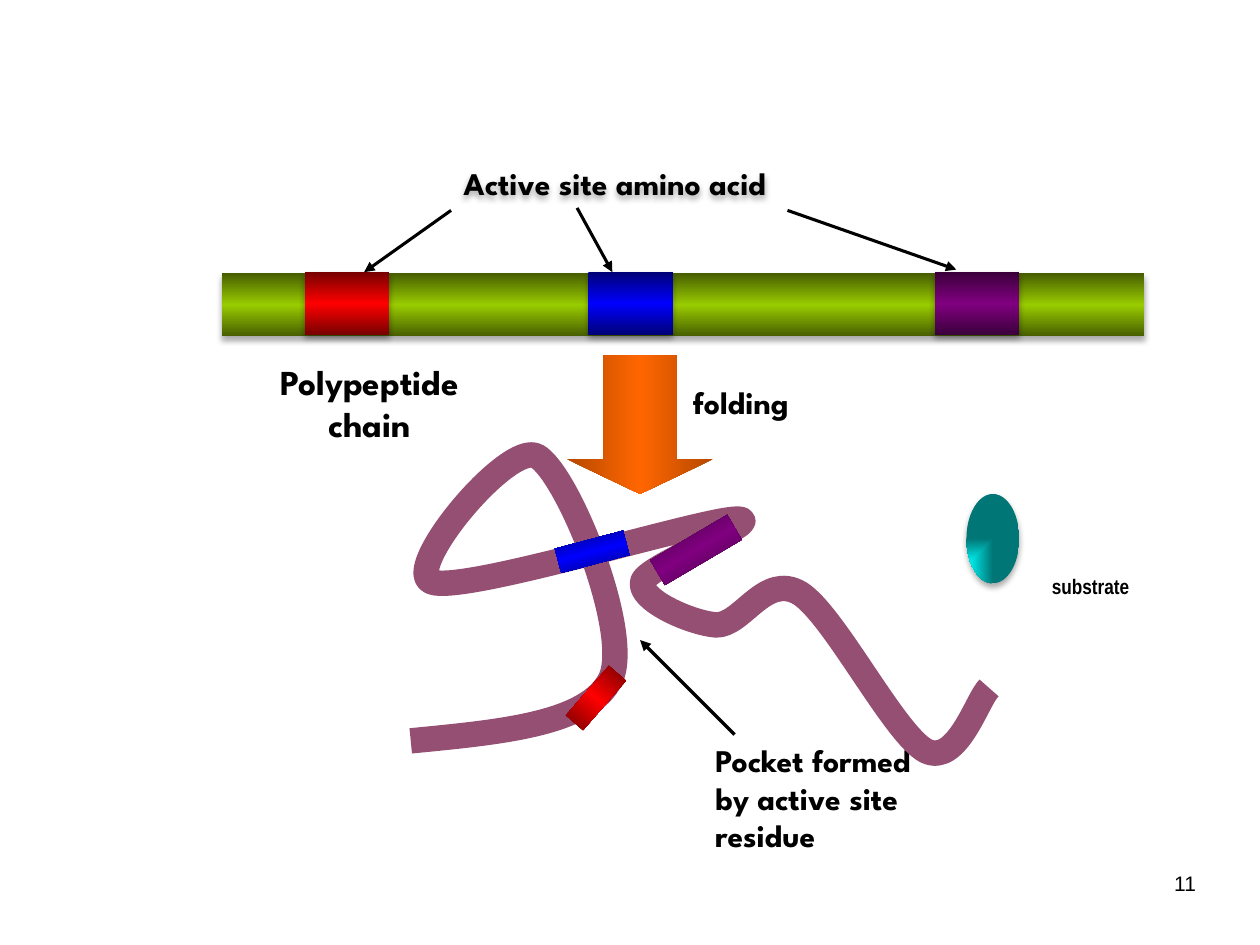
from dataclasses import dataclass
from typing import Optional

from pptx import Presentation
from pptx.dml.color import RGBColor
from pptx.enum.shapes import MSO_CONNECTOR as Connector, MSO_SHAPE as Preset
from pptx.enum.text import MSO_ANCHOR as Anchor, PP_ALIGN as Align
from pptx.oxml import parse_xml
from pptx.oxml.ns import nsdecls, qn
from pptx.oxml.xmlchemy import OxmlElement
from pptx.util import Inches, Pt

BLACK = RGBColor(0x00, 0x00, 0x00)
WHITE = RGBColor(0xFF, 0xFF, 0xFF)
MAUVE = RGBColor(0x95, 0x4F, 0x72)
CYAN = RGBColor(0x00, 0xFF, 0xFF)
TEAL = RGBColor(0x00, 0x76, 0x76)
GREEN = (RGBColor(0x47, 0x5E, 0x00), RGBColor(0x99, 0xCC, 0x00))
PURPLE = (RGBColor(0x3B, 0x00, 0x3B), RGBColor(0x80, 0x00, 0x80))
BLUE = (RGBColor(0x00, 0x00, 0x76), RGBColor(0x00, 0x00, 0xFF))
RED = (RGBColor(0x76, 0x00, 0x00), RGBColor(0xFF, 0x00, 0x00))
ORANGE = (RGBColor(0xB6, 0x49, 0x00), RGBColor(0xFF, 0x66, 0x00))

DISPLAY_FONT = "League Spartan"
BAND = '<a:lin ang="{}" scaled="0"/>'
CORNER_GLOW = '<a:path path="rect"><a:fillToRect t="100000" r="100000"/></a:path>'


@dataclass
class Block:
    box: tuple
    colours: tuple
    angle: int = 90
    rotation: float = 0
    shadow: bool = False
    preset: Preset = Preset.RECTANGLE


@dataclass
class Label:
    text: str
    box: tuple
    size: int = 18
    font: str = DISPLAY_FONT
    bold: bool = True
    align: Align = Align.LEFT
    anchor: Anchor = Anchor.TOP
    fill: Optional[RGBColor] = None
    shadow: bool = False


@dataclass
class Arrow:
    start: tuple
    end: tuple
    width: float = 1.75


CHAIN = Block((1.76, 2.17, 7.32, 0.5), GREEN, shadow=True)
CHAIN_RESIDUES = [
    Block((left, 2.16, 0.67, 0.5), colours, shadow=True)
    for left, colours in ((7.42, PURPLE), (4.67, BLUE), (2.42, RED))
]
FOLDING_ARROW = Block((4.5, 2.82, 1.16, 1.1), ORANGE, angle=0, preset=Preset.DOWN_ARROW)
FOLDED_RESIDUES = [
    Block((4.47, 5.45, 0.52, 0.18), RED, angle=0, rotation=130.9),
    Block((4.42, 4.28, 0.56, 0.2), BLUE, rotation=345.2),
    Block((5.17, 4.25, 0.71, 0.23), PURPLE, rotation=329.5),
]
POCKET_LABEL = Label("Pocket formed by active site residue", (5.58, 5.83, 1.75, 1.67), fill=WHITE)
LABELS = [
    Label("11", (8.92, 6.75, 0.67, 0.52), 12, "Arial", False, Align.RIGHT, Anchor.MIDDLE),
    Label("Polypeptide chain", (2.02, 2.81, 1.83, 0.64), 20, align=Align.CENTER),
    Label("folding", (5.4, 2.99, 1.18, 0.49)),
    Label("substrate", (8.25, 4.5, 1.26, 0.35), 12, "Arial Narrow"),
    Label("Active site amino acid", (3.42, 1.25, 2.92, 0.48), align=Align.CENTER, shadow=True),
]
ARROWS = [
    Arrow((3.58, 1.67), (2.89, 2.16)),
    Arrow((4.58, 1.65), (4.86, 2.16)),
    Arrow((6.25, 1.67), (7.59, 2.14)),
    Arrow((5.83, 5.83), (5.08, 5.08), 2),
]
FOLD_START = (3.26, 5.88)
FOLD_CURVES = [
    ((3.97, 5.81), (4.68, 5.75), (4.85, 5.38)),
    ((5.01, 5), (4.5, 3.75), (4.26, 3.62)),
    ((4.03, 3.5), (3.17, 4.54), (3.43, 4.62)),
    ((3.69, 4.71), (5.57, 4.12), (5.85, 4.12)),
    ((6.12, 4.12), (5.12, 4.49), (5.1, 4.62)),
    ((5.07, 4.76), (5.47, 4.94), (5.68, 4.96)),
    ((5.89, 4.97), (6.07, 4.54), (6.35, 4.71)),
    ((6.62, 4.88), (7.1, 5.83), (7.35, 5.96)),
    ((7.6, 6.08), (7.76, 5.54), (7.85, 5.46)),
]


def lengths(values: tuple) -> list:
    return [Inches(value) for value in values]


def set_gradient(shape, colours: tuple, direction: str) -> None:
    shape.fill.solid()
    solid = shape._element.spPr.find(qn("a:solidFill"))
    last = len(colours) - 1
    stops = "".join(
        f'<a:gs pos="{100000 * index // last}"><a:srgbClr val="{colour}"/></a:gs>'
        for index, colour in enumerate(colours)
    )
    gradient = f'<a:gradFill {nsdecls("a")}><a:gsLst>{stops}</a:gsLst>{direction}</a:gradFill>'
    solid.getparent().replace(solid, parse_xml(gradient))


def add_shadow(shape) -> None:
    shape.shadow.inherit = False
    shape._element.spPr.find(qn("a:effectLst")).append(parse_xml(
        f'<a:outerShdw {nsdecls("a")} blurRad="{Pt(3.5)}" dist="{Pt(2.2)}" dir="5400000" '
        f'rotWithShape="0"><a:srgbClr val="{BLACK}"><a:alpha val="32000"/></a:srgbClr></a:outerShdw>'
    ))


def add_plain_shape(slide, preset: Preset, box: tuple):
    shape = slide.shapes.add_shape(preset, *lengths(box))
    shape.line.fill.background()
    shape.shadow.inherit = False
    return shape


def add_block(slide, block: Block) -> None:
    shape = add_plain_shape(slide, block.preset, block.box)
    if block.preset == Preset.DOWN_ARROW:
        shape.adjustments[0], shape.adjustments[1] = 0.5, 0.25
    shape.rotation = block.rotation
    dark, bright = block.colours
    set_gradient(shape, (dark, bright, dark), BAND.format(block.angle * 60000))
    if block.shadow:
        add_shadow(shape)


def add_label(slide, label: Label) -> None:
    if label.fill is None:
        shape = slide.shapes.add_textbox(*lengths(label.box))
    else:
        shape = add_plain_shape(slide, Preset.RECTANGLE, label.box)
        shape.fill.solid()
        shape.fill.fore_color.rgb = label.fill
    if label.shadow:
        add_shadow(shape)
    frame = shape.text_frame
    frame.word_wrap = True
    frame.vertical_anchor = label.anchor
    paragraph = frame.paragraphs[0]
    paragraph.alignment = label.align
    run = paragraph.add_run()
    run.text = label.text
    values = {"name": label.font, "size": Pt(label.size), "bold": label.bold}
    for name, value in values.items():
        setattr(run.font, name, value)
    run.font.color.rgb = BLACK


def add_arrow(slide, arrow: Arrow) -> None:
    connector = slide.shapes.add_connector(
        Connector.STRAIGHT, *lengths(arrow.start + arrow.end)
    )
    connector.line.color.rgb = BLACK
    connector.line.width = Pt(arrow.width)
    tail = OxmlElement("a:tailEnd")
    tail.set("type", "triangle")
    connector.line._get_or_add_ln().append(tail)
    connector._element.spPr.append(OxmlElement("a:effectLst"))


def bend_segments(shape) -> None:
    segments = list(shape._element.spPr.iter(qn("a:lnTo")))
    for index in range(0, len(segments), 3):
        curve = OxmlElement("a:cubicBezTo")
        segments[index].addprevious(curve)
        for segment in segments[index:index + 3]:
            curve.append(segment[0])
            segment.getparent().remove(segment)


def add_folded_chain(slide) -> None:
    builder = slide.shapes.build_freeform(*lengths(FOLD_START))
    points = [lengths(point) for curve in FOLD_CURVES for point in curve]
    builder.add_line_segments(points, close=False)
    shape = builder.convert_to_shape()
    bend_segments(shape)
    shape.fill.background()
    shape.line.color.rgb = MAUVE
    shape.line.width = Pt(14.5)
    shape.shadow.inherit = False


def add_substrate(slide) -> None:
    shape = add_plain_shape(slide, Preset.OVAL, (7.67, 3.92, 0.42, 0.71))
    set_gradient(shape, (CYAN, TEAL), CORNER_GLOW)
    add_shadow(shape)


def main() -> None:
    presentation = Presentation()
    presentation.slide_width, presentation.slide_height = Inches(10), Inches(7.5)
    slide = presentation.slides.add_slide(presentation.slide_layouts[6])
    for block in (CHAIN, *CHAIN_RESIDUES, FOLDING_ARROW):
        add_block(slide, block)
    add_label(slide, POCKET_LABEL)
    add_substrate(slide)
    add_folded_chain(slide)
    for block in FOLDED_RESIDUES:
        add_block(slide, block)
    for arrow in ARROWS:
        add_arrow(slide, arrow)
    for label in LABELS:
        add_label(slide, label)
    presentation.save("out.pptx")


if __name__ == "__main__":
    main()
